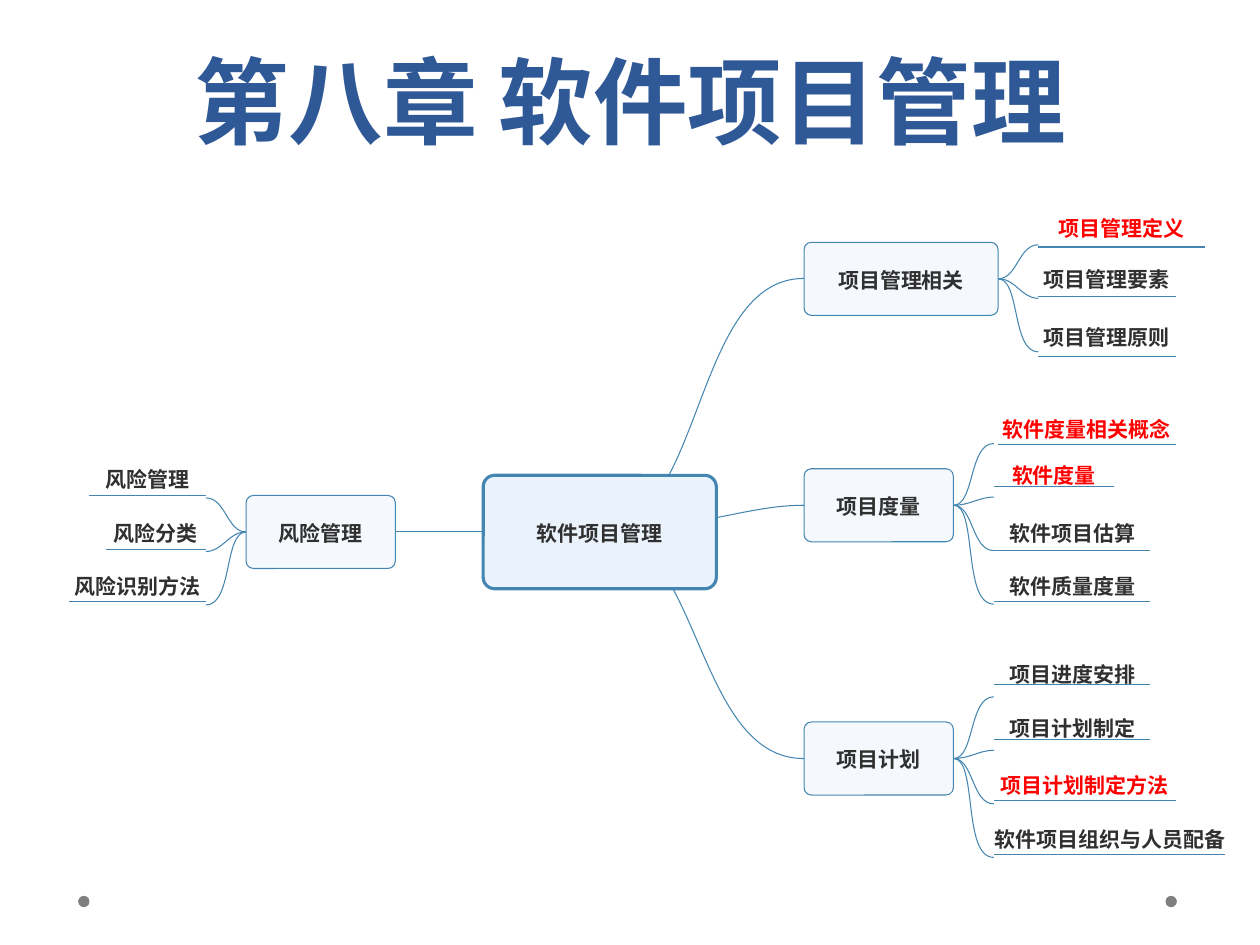
from lxml import etree
from pptx import Presentation, util as u
from pptx.dml.color import RGBColor
from pptx.enum import shapes, text
from pptx.oxml.ns import qn

# The slide is a grid of 100 columns by 75 rows; all places are in its cells.
COLUMNS = 100
WIDTH, HEIGHT = u.Inches(10), u.Inches(7.5)
CELL = WIDTH // COLUMNS

NAVY = RGBColor(0x2F, 0x58, 0x97)
BLUE = RGBColor(0x44, 0x86, 0xB1)
CENTRE_FILL = RGBColor(0xEA, 0xF3, 0xFC)
NODE_FILL = RGBColor(0xF5, 0xF9, 0xFE)
INK = RGBColor(0x30, 0x30, 0x30)
RED = RGBColor(0xFF, 0x00, 0x00)
GREY = RGBColor(0x7F, 0x7F, 0x7F)

CJK_FONT = "Noto Sans CJK SC"
TITLE_FORMAT = {"name": "Roboto", "size": u.Pt(54), "bold": True}
LABEL_FORMAT = {"name": CJK_FONT, "size": u.Pt(12), "bold": True}
THIN, THICK = 0.6, 1.79

NODE_HEIGHT = 5.8
LEAF_REACH = 3.2
LEAF_STEP = 4.25
FIRST_LEAF = {3: -2.7, 4: -4.9}

CENTRE = ("软件项目管理", 38.35, 37.73, 18.5, 9)
HUB = (47.6, 42.2)

# Node: label, left, middle, width, side of its leaves, link curve from the centre.
# Leaf: label, inner edge, top, width, height, colour.
BRANCHES = [
    (("项目管理相关", 63.82, 22.13, 15.4, 1),
     [(53.1, 37.7), (56.2, 31.8), (57.6, 22.1), (63.8, 22.1)],
     [("项目管理定义", 82.4, 16.4, 13.2, 3.2, RED),
      ("项目管理要素", 82.4, 20.6, 10.9, 2.9, INK),
      ("项目管理原则", 82.4, 24.9, 10.9, 3.4, INK)]),
    (("项目度量", 63.82, 40.1, 11.85, 1),
     [(56.8, 41.1), (59.3, 40.6), (61.5, 40.1), (63.8, 40.1)],
     [("软件度量相关概念", 79.2, 32.5, 14.1, 2.8, RED),
      ("软件度量", 78.9, 36.5, 9.5, 2.1, RED),
      ("软件项目估算", 78.9, 40.7, 12.4, 3, INK),
      ("软件质量度量", 78.9, 45, 12.4, 2.75, INK)]),
    (("项目计划", 63.82, 60.2, 11.85, 1),
     [(53.4, 46.7), (56.3, 52.1), (58, 60.2), (63.8, 60.2)],
     [("项目进度安排", 78.9, 52.3, 12.4, 2.05, INK),
      ("项目计划制定", 78.9, 56.6, 12.4, 2.1, INK),
      ("项目计划制定方法", 78.9, 60.9, 14.4, 2.6, RED),
      ("软件项目组织与人员配备", 78.9, 65.1, 18.35, 2.7, INK)]),
    (("风险管理", 19.53, 42.22, 11.85, -1),
     [(38.3, 42.2), (35.9, 42.2), (33.6, 42.2), (31.4, 42.2)],
     [("风险管理", 16.33, 36.5, 9.25, 2.8, INK),
      ("风险分类", 16.33, 40.7, 7.9, 2.9, INK),
      ("风险识别方法", 16.33, 45, 10.85, 2.75, INK)]),
]


def cells(*counts):
    return [round(count * CELL) for count in counts]


def apply(target, values):
    for name, value in values.items():
        setattr(target, name, value)


def place(shape, *counts):
    apply(shape, dict(zip(("left", "top", "width", "height"), cells(*counts))))


def write(frame, label, font_format, colour):
    para = frame.paragraphs[0]
    para.alignment = text.PP_ALIGN.CENTER
    span = para.add_run()
    span.text = label
    apply(span.font, font_format)
    span.font.color.rgb = colour
    east_asian = etree.SubElement(span.font._element, qn("a:ea"))
    east_asian.set("typeface", CJK_FONT)
    return para


def write_label(shape, label, colour, drop):
    frame = shape.text_frame
    apply(frame, {"margin_left": 0, "margin_right": 0, "margin_top": u.Pt(drop),
                  "margin_bottom": 0, "word_wrap": False,
                  "vertical_anchor": text.MSO_ANCHOR.MIDDLE})
    write(frame, label, LABEL_FORMAT, colour)


def style(shape, fill, weight):
    shape.shadow.inherit = False
    if fill is None:
        shape.fill.background()
    else:
        shape.fill.solid()
        shape.fill.fore_color.rgb = fill
    if weight:
        shape.line.color.rgb = BLUE
        shape.line.width = u.Pt(weight)
    else:
        shape.line.fill.background()


def add_title(page):
    box = page.shapes.title
    place(box, 5, -1.1, 90, 14)
    apply(box.text_frame, {"auto_size": text.MSO_AUTO_SIZE.NONE,
                           "vertical_anchor": text.MSO_ANCHOR.BOTTOM})
    para = write(box.text_frame, "第八章 软件项目管理", TITLE_FORMAT, NAVY)
    para.line_spacing = u.Pt(58)


def add_dot(page, left):
    dot = page.shapes.add_shape(shapes.MSO_SHAPE.OVAL, *cells(left, 71.1, 0.9, 0.9))
    style(dot, GREY, None)


def add_node(page, label, left, top, width, height, fill, weight):
    node = page.shapes.add_shape(shapes.MSO_SHAPE.ROUNDED_RECTANGLE,
                                 *cells(left, top, width, height))
    node.adjustments[0] = 0.1
    style(node, fill, weight)
    write_label(node, label, INK, 1)


def outline(shape):
    return next(shape._element.iter(qn("a:path")))


def add_curve(page, controls, anchor):
    """Draw a cubic Bezier curve whose frame starts at the anchor."""
    start, end = controls[0], controls[-1]
    builder = page.shapes.build_freeform(*cells(*start))
    builder.add_line_segments([cells(*end)], close=False)
    curve = builder.convert_to_shape()
    size = [max(abs(b - a), 0.1) for a, b in zip(start, end)]
    place(curve, *anchor, *size)
    path = outline(curve)
    for name, length in zip("wh", cells(*size)):
        path.set(name, str(length))
    for child in list(path):
        path.remove(child)
    for tag, points in (("a:moveTo", controls[:1]), ("a:cubicBezTo", controls[1:])):
        segment = etree.SubElement(path, qn(tag))
        for point in points:
            local = cells(*(p - a for p, a in zip(point, anchor)))
            spot = etree.SubElement(segment, qn("a:pt"))
            for name, length in zip("xy", local):
                spot.set(name, str(length))
    style(curve, None, THIN)


def halfway(first, second):
    return [(a + b) / 2 for a, b in zip(first, second)]


def add_leaf_curves(page, node, count):
    _, left, middle, width, side = node
    start = (left + width if side > 0 else left, middle)
    for index in range(count):
        rise = FIRST_LEAF[count] + index * LEAF_STEP
        near = 1.3 + 0.08 * abs(rise)
        far = 2.1 - 0.18 * abs(rise)
        end = (start[0] + side * LEAF_REACH, middle + rise)
        add_curve(page, [start, (start[0] + side * near, middle),
                         (start[0] + side * far, end[1]), end], halfway(start, end))


def add_leaf(page, side, label, edge, top, width, height, colour):
    """Add an underlined label that grows outwards from its inner edge."""
    left = edge if side > 0 else edge - width
    right, bottom = left + width, top + height
    builder = page.shapes.build_freeform(*cells(left, top))
    builder.add_line_segments([cells(right, top), cells(right, bottom),
                               cells(left, bottom)])
    builder.move_to(*cells(left, bottom))
    builder.add_line_segments([cells(right, bottom)], close=False)
    leaf = builder.convert_to_shape()
    area = outline(leaf)
    underline = etree.SubElement(area.getparent(), qn("a:path"), dict(area.attrib))
    underline.extend(list(area)[-2:])
    area.set("stroke", "0")
    underline.set("fill", "none")
    style(leaf, None, THIN)
    write_label(leaf, label, colour, 2)


def main():
    deck = Presentation()
    apply(deck, {"slide_width": WIDTH, "slide_height": HEIGHT})
    page = deck.slides.add_slide(deck.slide_layouts.get_by_name("Title Only"))
    for left in (92.5, 6.2):
        add_dot(page, left)
    add_title(page)
    for node, link, leaves in BRANCHES:
        add_curve(page, link, halfway(HUB, link[-1]))
        add_leaf_curves(page, node, len(leaves))
    add_node(page, *CENTRE, CENTRE_FILL, THICK)
    for (label, left, middle, width, side), _, leaves in BRANCHES:
        add_node(page, label, left, middle - NODE_HEIGHT / 2, width, NODE_HEIGHT,
                 NODE_FILL, THIN)
        for leaf in leaves:
            add_leaf(page, side, *leaf)
    deck.save("out.pptx")


if __name__ == "__main__":
    main()
